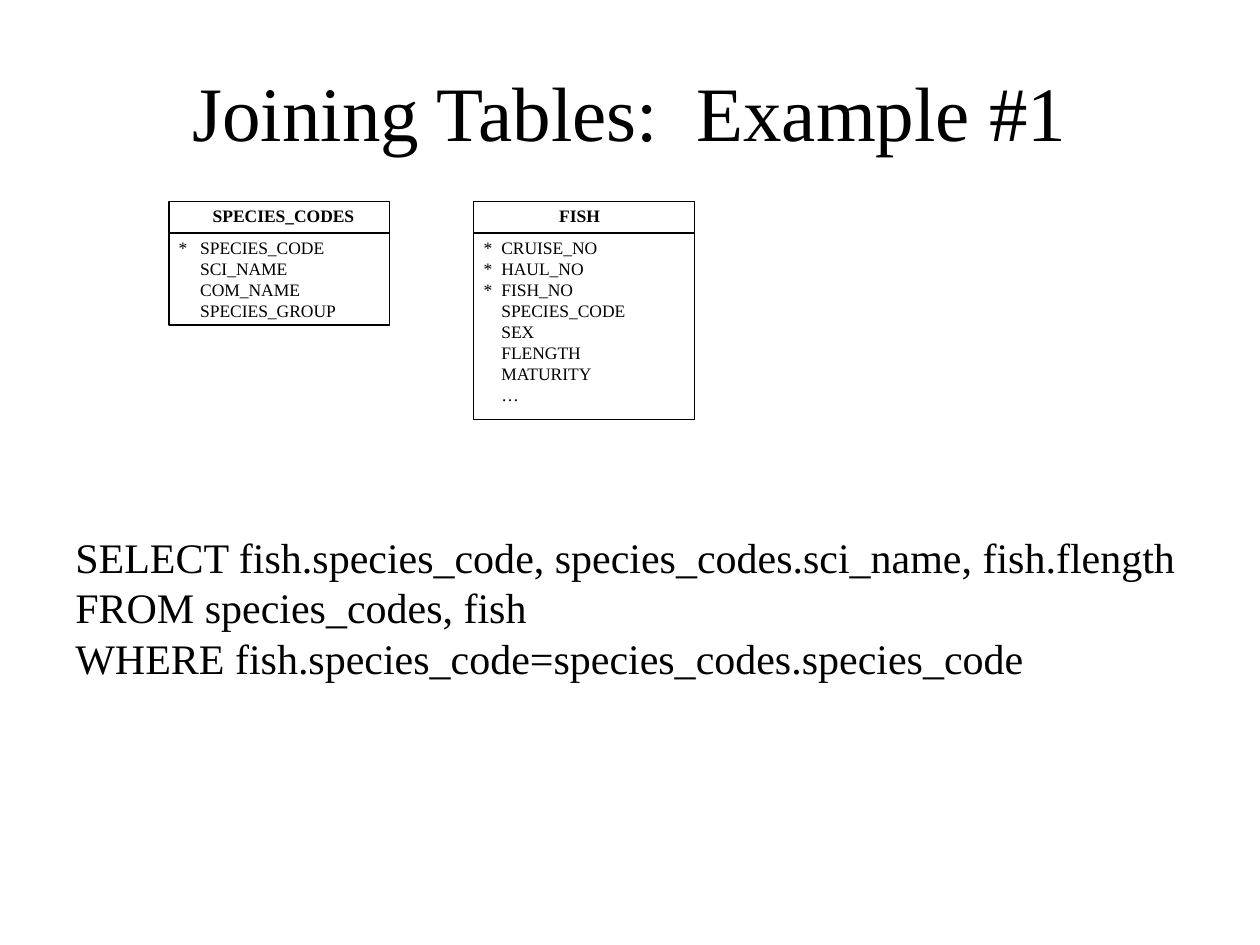
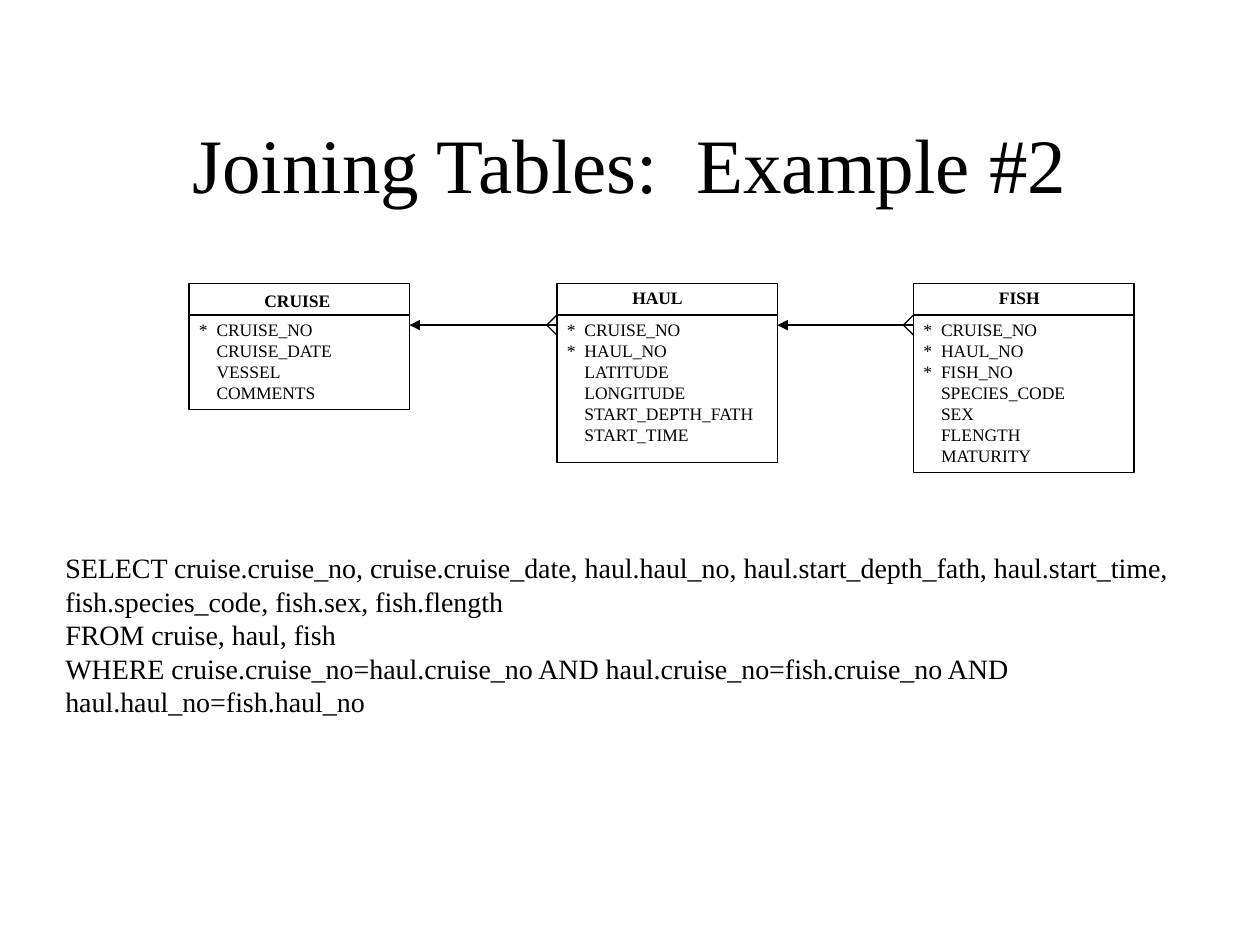
from dataclasses import dataclass

from lxml.etree import SubElement
from pptx import Presentation
from pptx.dml.color import RGBColor
from pptx.enum.shapes import MSO_CONNECTOR, MSO_SHAPE
from pptx.enum.text import MSO_ANCHOR, PP_ALIGN
from pptx.oxml.ns import qn
from pptx.slide import Slide
from pptx.util import Inches, Pt

COLORS = {"ink": "000000", "paper": "FFFFFF"}
FONT = "Times New Roman"
LINE_WIDTH = Pt(0.75)
TABLE_WIDTH = 1.75
HEADER_HEIGHT = 0.25
LABEL_SIZE = 10
LABEL_LINE = 0.17
LINK_DROP = 0.33
FORK = 0.08


@dataclass(frozen=True)
class Entity:
    name: str
    left: float
    top: float
    height: float
    keys: list[str]
    columns: list[str]
    name_offset: float
    name_width: float = 0.83
    name_rise: float = 0.02
    key_gap: float = 0.14


@dataclass(frozen=True)
class Query:
    left: float
    top: float
    width: float
    height: float
    size: int
    lines: list[str]


@dataclass(frozen=True)
class Example:
    title: str
    title_top: float
    entities: list[Entity]
    linked: bool
    query: Query


FISH_KEYS = ["CRUISE_NO", "HAUL_NO", "FISH_NO"]
FISH_COLUMNS = ["SPECIES_CODE", "SEX", "FLENGTH", "MATURITY"]

EXAMPLES = [
    Example(
        "Joining Tables:  Example #1", 0.25,
        [
            Entity("SPECIES_CODES", 1.34, 1.6, 0.98, ["SPECIES_CODE"],
                   ["SCI_NAME", "COM_NAME", "SPECIES_GROUP"],
                   0.25, name_width=1.5, key_gap=0.17),
            Entity("FISH", 3.76, 1.6, 1.73, FISH_KEYS, FISH_COLUMNS + ["…"], 0.58),
        ],
        False,
        Query(0.5, 4.17, 9.17, 1.7, 24, [
            "SELECT fish.species_code, species_codes.sci_name, fish.flength",
            "FROM species_codes, fish",
            "WHERE fish.species_code=species_codes.species_code",
        ]),
    ),
    Example(
        "Joining Tables:  Example #2", 0.67,
        [
            Entity("CRUISE", 1.5, 2.25, 1, ["CRUISE_NO"],
                   ["CRUISE_DATE", "VESSEL", "COMMENTS"], 0.5, name_rise=0),
            Entity("HAUL", 4.42, 2.25, 1.42, ["CRUISE_NO", "HAUL_NO"],
                   ["LATITUDE", "LONGITUDE", "START_DEPTH_FATH", "START_TIME"], 0.5),
            Entity("FISH", 7.25, 2.25, 1.5, FISH_KEYS, FISH_COLUMNS, 0.58),
        ],
        True,
        Query(0.42, 4.32, 9.56, 1.44, 16, [
            "SELECT cruise.cruise_no, cruise.cruise_date, haul.haul_no, "
            "haul.start_depth_fath, haul.start_time, fish.species_code, fish.sex, fish.flength",
            "FROM cruise, haul, fish",
            "WHERE cruise.cruise_no=haul.cruise_no AND haul.cruise_no=fish.cruise_no "
            "AND haul.haul_no=fish.haul_no",
        ]),
    ),
]


def color(name: str) -> RGBColor:
    return RGBColor.from_string(COLORS[name])


def style(para, size: int, bold: bool = False) -> None:
    para.font.name = FONT
    para.font.size = Pt(size)
    para.font.bold = bold
    para.font.color.rgb = color("ink")


def add_text(page: Slide, left: float, top: float, width: float, height: float,
             lines: list[str], size: int, bold: bool = False, tab: float = 0) -> None:
    box = page.shapes.add_textbox(Inches(left), Inches(top), Inches(width), Inches(height))
    frame = box.text_frame
    frame.word_wrap = True
    frame.text = "\n".join(lines)
    for para in frame.paragraphs:
        if tab:
            tabs = SubElement(para._p.get_or_add_pPr(), qn("a:tabLst"))
            SubElement(tabs, qn("a:tab"), pos=str(Inches(tab)), algn="l")
        style(para, size, bold)


def add_line(page: Slide, start: tuple[float, float], end: tuple[float, float],
             arrow: bool = False) -> None:
    line = page.shapes.add_connector(
        MSO_CONNECTOR.STRAIGHT, *(Inches(value) for value in start + end))
    line.line.color.rgb = color("ink")
    line.line.width = LINE_WIDTH
    if arrow:
        SubElement(line.line._get_or_add_ln(), qn("a:tailEnd"), type="triangle")
    SubElement(line._element.spPr, qn("a:effectLst"))


def add_entity(page: Slide, entity: Entity) -> None:
    outline = page.shapes.add_shape(
        MSO_SHAPE.RECTANGLE, Inches(entity.left), Inches(entity.top),
        Inches(TABLE_WIDTH), Inches(entity.height))
    outline.shadow.inherit = False
    outline.fill.background()
    outline.line.color.rgb = color("ink")
    outline.line.width = LINE_WIDTH

    divider = entity.top + HEADER_HEIGHT
    add_line(page, (entity.left, divider), (entity.left + TABLE_WIDTH, divider))
    add_text(page, entity.left + entity.name_offset, entity.top - entity.name_rise,
             entity.name_width, 0.27, [entity.name], LABEL_SIZE, bold=True)
    rows = [f"*\t{key}" for key in entity.keys] + [f"\t{column}" for column in entity.columns]
    add_text(page, entity.left - 0.02, divider - 0.02, TABLE_WIDTH,
             0.1 + LABEL_LINE * len(rows), rows, LABEL_SIZE, tab=entity.key_gap)


def add_link(page: Slide, parent: Entity, child: Entity) -> None:
    middle = child.top + LINK_DROP
    add_line(page, (child.left, middle), (parent.left + TABLE_WIDTH, middle), arrow=True)
    for side in (-FORK, FORK):
        add_line(page, (child.left - FORK, middle), (child.left, middle + side))


def add_title(page: Slide, text: str, top: float) -> None:
    title = page.shapes.title
    title.left, title.top = Inches(0.75), Inches(top)
    title.width, title.height = Inches(8.5), Inches(1.25)
    title.text_frame.text = text
    title.text_frame.vertical_anchor = MSO_ANCHOR.MIDDLE
    para = title.text_frame.paragraphs[0]
    para.alignment = PP_ALIGN.CENTER
    style(para, 44)


def add_example(deck, example: Example) -> None:
    page = deck.slides.add_slide(deck.slide_layouts.get_by_name("Title Only"))
    page.background.fill.solid()
    page.background.fill.fore_color.rgb = color("paper")
    add_title(page, example.title, example.title_top)
    for entity in example.entities:
        add_entity(page, entity)
    if example.linked:
        for parent, child in zip(example.entities, example.entities[1:]):
            add_link(page, parent, child)
    query = example.query
    add_text(page, query.left, query.top, query.width, query.height, query.lines, query.size)


def main() -> None:
    deck = Presentation()
    deck.slide_width, deck.slide_height = Inches(10), Inches(7.5)
    for example in EXAMPLES:
        add_example(deck, example)
    deck.save("out.pptx")


if __name__ == "__main__":
    main()
